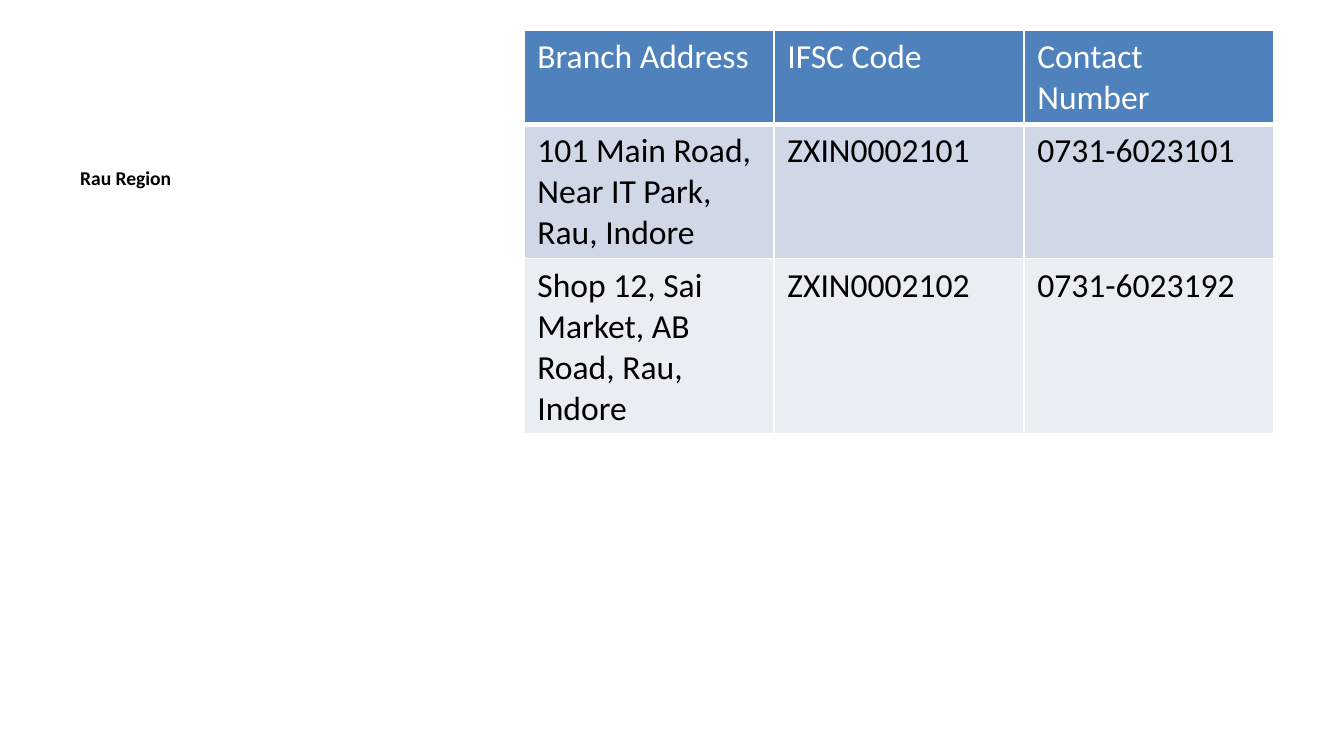
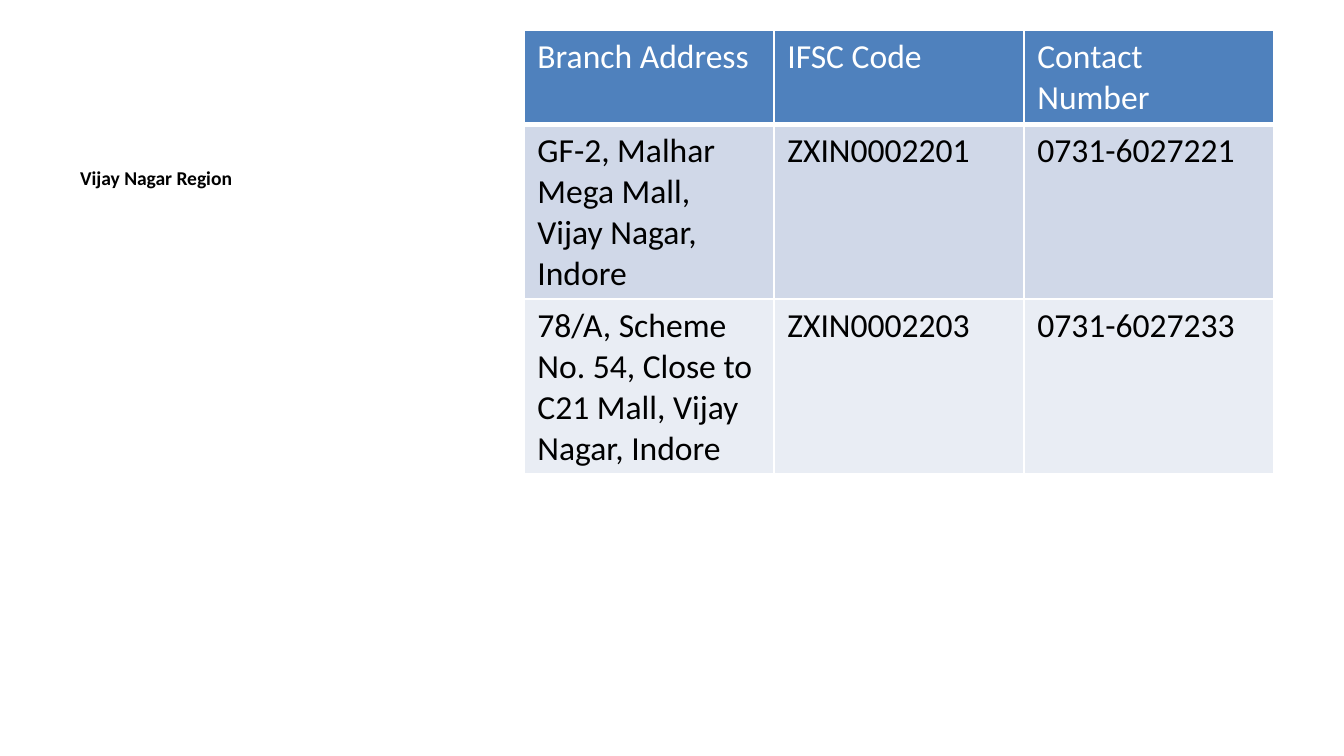
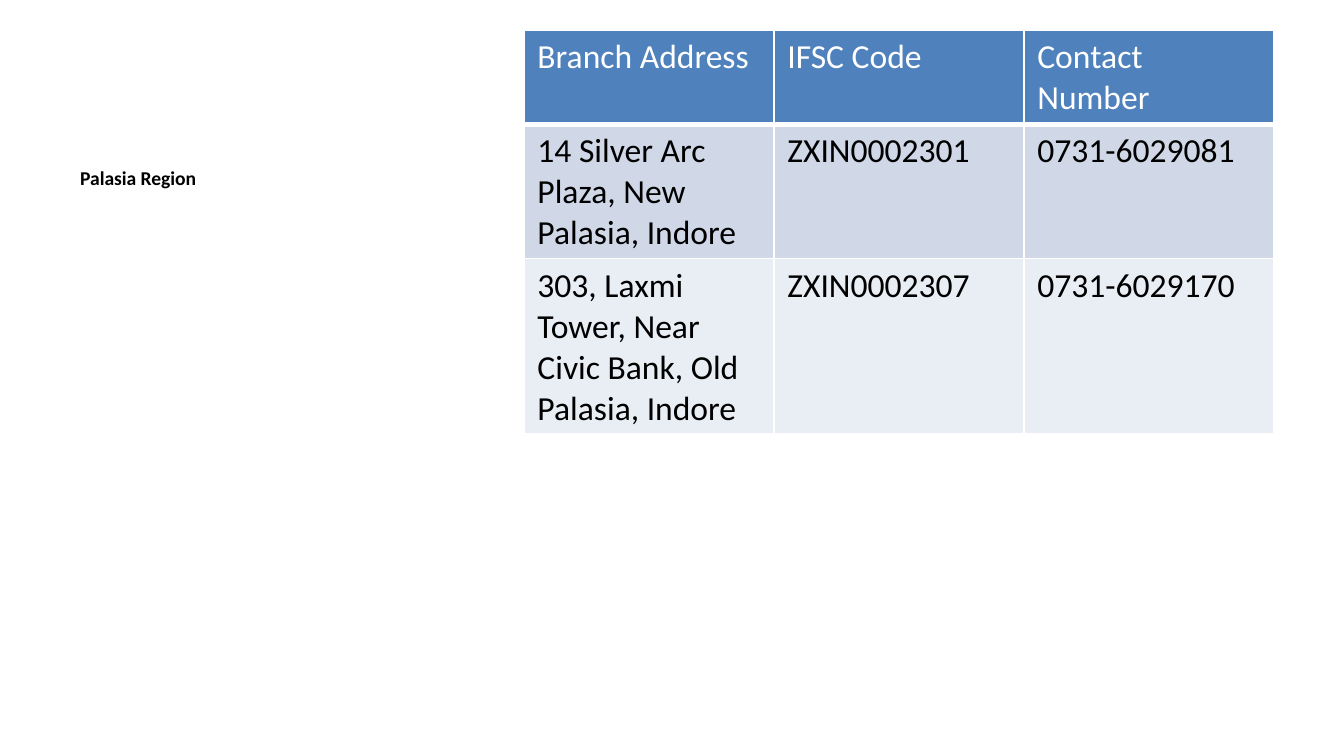
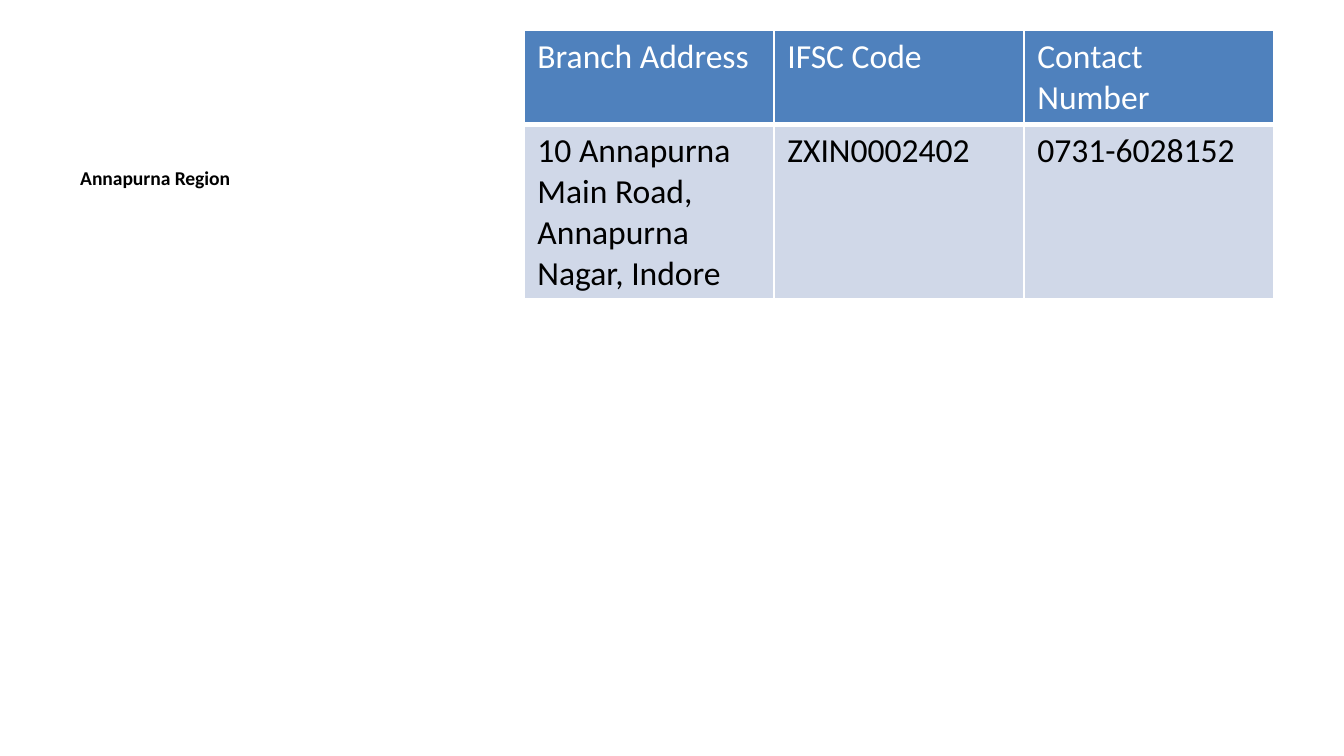
from lxml.etree import SubElement as Sub
from pptx import Presentation
from pptx.dml.color import RGBColor as RGB
from pptx.oxml.ns import qn
from pptx.util import Pt

PX = 914400 / 134.4  # EMU in one px

# Shared look
FONT = "Calibri"
BLACK = RGB(0x00, 0x00, 0x00)
WHITE = RGB(0xFF, 0xFF, 0xFF)
BLUE = RGB(0x4F, 0x81, 0xBD)
BANDS = [RGB(0xD0, 0xD8, 0xE8), RGB(0xE9, 0xED, 0xF4)]
HEAD = ("Branch Address", "IFSC Code", "Contact Number")

# Branches of each region
REGIONS = {
    "Rau Region": [
        ("101 Main Road, Near IT Park, Rau, Indore", "ZXIN0002101", "0731-6023101"),
        ("Shop 12, Sai Market, AB Road, Rau, Indore", "ZXIN0002102", "0731-6023192"),
    ],
    "Vijay Nagar Region": [
        ("GF-2, Malhar Mega Mall, Vijay Nagar, Indore", "ZXIN0002201", "0731-6027221"),
        ("78/A, Scheme No. 54, Close to C21 Mall, Vijay Nagar, Indore",
         "ZXIN0002203", "0731-6027233"),
    ],
    "Palasia Region": [
        ("14 Silver Arc Plaza, New Palasia, Indore", "ZXIN0002301", "0731-6029081"),
        ("303, Laxmi Tower, Near Civic Bank, Old Palasia, Indore",
         "ZXIN0002307", "0731-6029170"),
    ],
    "Annapurna Region": [
        ("10 Annapurna Main Road, Annapurna Nagar, Indore",
         "ZXIN0002402", "0731-6028152"),
    ],
}


def px(*nums):
    return [round(num * PX) for num in nums]


def write(frame, text, size=18, color=BLACK, bold=False):
    frame.word_wrap = True
    run = frame.paragraphs[0].add_run()
    run.text = text
    font = run.font
    font.name, font.size, font.bold = FONT, Pt(size), bold
    font.color.rgb = color


deck = Presentation()
deck.slide_width, deck.slide_height = px(1344, 756)

for region, rows in REGIONS.items():
    slide = deck.slides.add_slide(deck.slide_layouts[6])

    # Region name
    box = slide.shapes.add_textbox(*px(67, 159, 442, 517))
    write(box.text_frame, region, size=10.5, bold=True)

    # Branch table: each row grows to fit its text
    grid = [HEAD, *rows]
    frame = slide.shapes.add_table(len(grid), len(HEAD), *px(524, 30, 750, 644))
    table = frame.table
    for r, line in enumerate(grid):
        table.rows[r].height = 0
        fill = BANDS[(r - 1) % 2] if r else BLUE
        for c, text in enumerate(line):
            cell = table.cell(r, c)
            write(cell.text_frame, text, color=BLACK if r else WHITE)
            # White rules, thicker under the header
            for side in "LRTB":
                width = 3 if r == 0 and side == "B" else 1
                rule = Sub(cell._tc.get_or_add_tcPr(), qn("a:ln" + side),
                           w=str(Pt(width)))
                Sub(Sub(rule, qn("a:solidFill")), qn("a:srgbClr"), val=str(WHITE))
            cell.fill.solid()
            cell.fill.fore_color.rgb = fill
    frame.height = px(644)[0]

deck.save("out.pptx")
